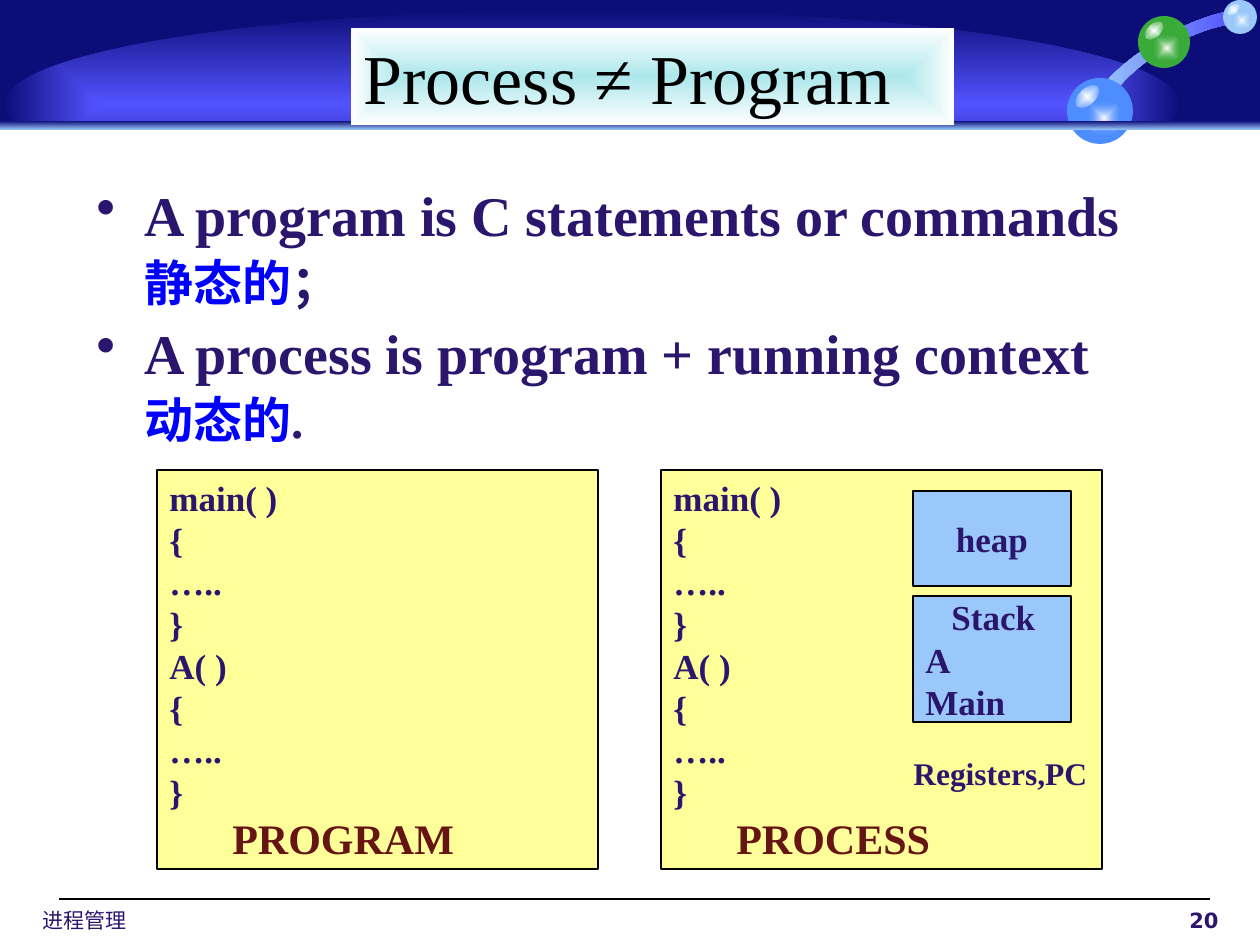
from lxml.etree import SubElement
from pptx import Presentation
from pptx.dml.color import RGBColor
from pptx.enum.shapes import MSO_CONNECTOR, MSO_SHAPE
from pptx.enum.text import MSO_ANCHOR, MSO_AUTO_SIZE, PP_ALIGN
from pptx.oxml import parse_xml
from pptx.oxml.ns import nsdecls, qn
from pptx.util import Emu, Pt

SERIF, SANS, CJK = "Times New Roman", "DejaVu Sans", "Noto Sans CJK SC"
C = {"white": "FFFFFF", "black": "000000", "navy": "0D0D79", "violet": "5353FF",
     "sky": "9AC8FA", "green": "39AB39", "azure": "4D8DFF", "ink": "2B166E",
     "blue": "0000FF", "cream": "FFFF99", "maroon": "661414", "aqua": "ADE7EB"}


def px(n):
    return Emu(round(n * 914400 / 126))


def rgb(name):
    return RGBColor.from_string(C[name])


def gradient(sp, first, last, angle=None, alpha=100):
    if angle is None:
        way = '<a:path path="shape"><a:fillToRect l="50000" t="50000" r="50000" b="50000"/></a:path>'
    else:
        way = f'<a:lin ang="{angle * 60000}" scaled="0"/>'
    fill = parse_xml(
        f'<a:gradFill {nsdecls("a")} rotWithShape="1"><a:gsLst>'
        f'<a:gs pos="0"><a:srgbClr val="{C[first]}"/></a:gs>'
        f'<a:gs pos="100000"><a:srgbClr val="{C[last]}"><a:alpha val="{alpha * 1000}"/></a:srgbClr></a:gs>'
        f'</a:gsLst>{way}</a:gradFill>')
    sp.fill.solid()
    solid = sp._element.spPr.find(qn("a:solidFill"))
    solid.getparent().replace(solid, fill)


def style(sp, fill=None, line=None):
    sp.shadow.inherit = False
    if fill:
        sp.fill.solid()
        sp.fill.fore_color.rgb = rgb(fill)
    if line:
        sp.line.color.rgb = rgb(line)
        sp.line.width = Pt(0.75)
    else:
        sp.line.fill.background()


def shape(shapes, kind, x, y, w, h, fill=None, line=None):
    sp = shapes.add_shape(kind, px(x), px(y), px(w), px(h))
    style(sp, fill, line)
    return sp


def add_run(p, text, size, color="ink", font=SERIF, bold=True):
    r = p.add_run()
    r.text = text
    r.font.size = Pt(size)
    r.font.bold = bold
    r.font.name = font
    r.font.color.rgb = rgb(color)
    SubElement(r._r.get_or_add_rPr(), qn("a:ea"), typeface=CJK)


def frame(sp, anchor=MSO_ANCHOR.TOP, wrap=True):
    tf = sp.text_frame
    tf.word_wrap = wrap
    tf.auto_size = MSO_AUTO_SIZE.NONE
    tf.vertical_anchor = anchor
    return tf


def paragraph(tf, pitch, align=PP_ALIGN.LEFT, indent=0):
    p = tf.paragraphs[0]
    if p.runs:
        p = tf.add_paragraph()
    p.alignment = align
    p.line_spacing = Pt(pitch)
    if indent:
        p._p.get_or_add_pPr().set("marL", str(px(indent)))
    return p


def text(shapes, x, y, w, h, words, size, font=SERIF, bold=True, align=PP_ALIGN.LEFT, indent=0, wrap=True):
    tf = frame(shapes.add_textbox(px(x), px(y), px(w), px(h)), wrap=wrap)
    add_run(paragraph(tf, size * 1.2, align, indent), words, size, font=font, bold=bold)


def sphere(s, x, y, d, color):
    g = s.shapes.add_group_shape().shapes
    shape(g, MSO_SHAPE.OVAL, x, y, d, d, color)
    glow = shape(g, MSO_SHAPE.OVAL, x + 0.28 * d, y + 0.33 * d, 0.56 * d, 0.56 * d)
    gradient(glow, "white", color, alpha=0)
    shine = shape(g, MSO_SHAPE.OVAL, x + 0.1 * d, y + 0.16 * d, 0.42 * d, 0.24 * d)
    gradient(shine, "white", color)
    shine.rotation = 317.2


def curve(a, b, c, d, steps=10):
    for i in range(1, steps + 1):
        t = i / steps
        u = 1 - t
        yield tuple(u**3 * m + 3 * u * u * t * n + 3 * u * t * t * o + t**3 * q
                    for m, n, o, q in zip(a, b, c, d))


def ribbon(s):
    start, tip, tail = (1225, 25), (1115, 92), (1096, 93)
    upper, lower = (1164, 49), (1159, 40)
    points = [*curve(start, (1206, 29), (1184, 38), upper),
              *curve(upper, (1144, 62), (1126, 77), tip), tail,
              *curve(tail, (1111, 74), (1133, 55), lower),
              *curve(lower, (1184, 24), (1212, 14), (1235, 10))]
    fb = s.shapes.build_freeform(px(start[0]), px(start[1]))
    fb.add_line_segments([(px(x), px(y)) for x, y in points], close=True)
    sp = fb.convert_to_shape()
    style(sp)
    gradient(sp, "sky", "violet", 0)


def backdrop(s):
    shape(s.shapes, MSO_SHAPE.RECTANGLE, 0, 0, 1260, 126, "navy")
    gradient(shape(s.shapes, MSO_SHAPE.OVAL, 4, 10, 1176, 188), "violet", "navy")
    shape(s.shapes, MSO_SHAPE.RECTANGLE, 0, 125, 1260, 738, "white")
    ribbon(s)
    for ball in ((1138, 16, 52, "green"), (1067, 78, 66, "azure"), (1223, 0, 34, "sky")):
        sphere(s, *ball)
    gradient(shape(s.shapes, MSO_SHAPE.RECTANGLE, 0, 121, 1260, 9), "navy", "sky", 90)
    rule = s.shapes.add_connector(MSO_CONNECTOR.STRAIGHT, px(59), px(899), px(1210), px(899))
    rule.line.color.rgb = rgb("black")
    rule.line.width = Pt(0.75)
    SubElement(rule._element.spPr, qn("a:effectLst"))


def title(s, words):
    sp = s.shapes.title
    sp.left, sp.top, sp.width, sp.height = px(351), px(28), px(603), px(97)
    gradient(sp, "aqua", "white")
    add_run(paragraph(frame(sp), 48), words, 40, "black", bold=False)
    s.shapes._spTree.append(sp._element)


def bullets(s, items):
    tf = frame(s.shapes.add_textbox(px(84), px(179), px(1071), px(281)))
    for i, (lead, term, end) in enumerate(items):
        p = paragraph(tf, 36, indent=48)
        pPr = p._p.get_or_add_pPr()
        pPr.set("indent", str(-px(48)))
        SubElement(pPr, qn("a:buChar"), char="•")
        p.space_before = Pt(6.4 if i else 0)
        add_run(p, lead, 32)
        p.add_line_break()
        add_run(p, term, 28, "blue", CJK)
        add_run(p, end, 28)


def code_box(shapes, x, label):
    sp = shape(shapes, MSO_SHAPE.RECTANGLE, x, 470, 441, 399, "cream", "black")
    tf = frame(sp, MSO_ANCHOR.MIDDLE)
    for name in ("main( )", "A( )"):
        p = paragraph(tf, 24)
        add_run(p, name, 20)
        p.add_line_break()
        add_run(p, "{", 20)
        for line in ("…..", "}"):
            add_run(paragraph(tf, 24), line, 20)
    p = paragraph(tf, 28.8)
    add_run(p, "\t", 20)
    add_run(p, label, 24, "maroon")


def memory_box(shapes, y, h, lines):
    sp = shape(shapes, MSO_SHAPE.RECTANGLE, 913, y, 158, h, "sky", "black")
    tf = frame(sp, MSO_ANCHOR.MIDDLE)
    for words, align, indent in lines:
        add_run(paragraph(tf, 24, align, indent), words, 20)


def main():
    prs = Presentation()
    prs.slide_width, prs.slide_height = px(1260), px(945)
    s = prs.slides.add_slide(prs.slide_layouts[5])
    backdrop(s)
    text(s.shapes, 18, 901, 346, 42, "进程管理", 12, SANS, False, indent=12)
    text(s.shapes, 832, 901, 399, 42, "20", 12, SANS, align=PP_ALIGN.RIGHT)
    bullets(s, [("A program is C statements or commands", "静态的", "；"),
                ("A process is program + running context", "动态的", ".")])
    code_box(s.shapes, 157, "PROGRAM")
    g = s.shapes.add_group_shape().shapes
    code_box(g, 661, "PROCESS")
    memory_box(g, 491, 95, [("heap", PP_ALIGN.CENTER, 0)])
    memory_box(g, 596, 126, [("Stack", PP_ALIGN.LEFT, 26), ("A", PP_ALIGN.LEFT, 0), ("Main", PP_ALIGN.LEFT, 0)])
    text(g, 901, 748, 199, 50, "Registers,PC", 18, wrap=False)
    title(s, "Process ≠ Program")
    prs.save("out.pptx")


if __name__ == "__main__":
    main()
